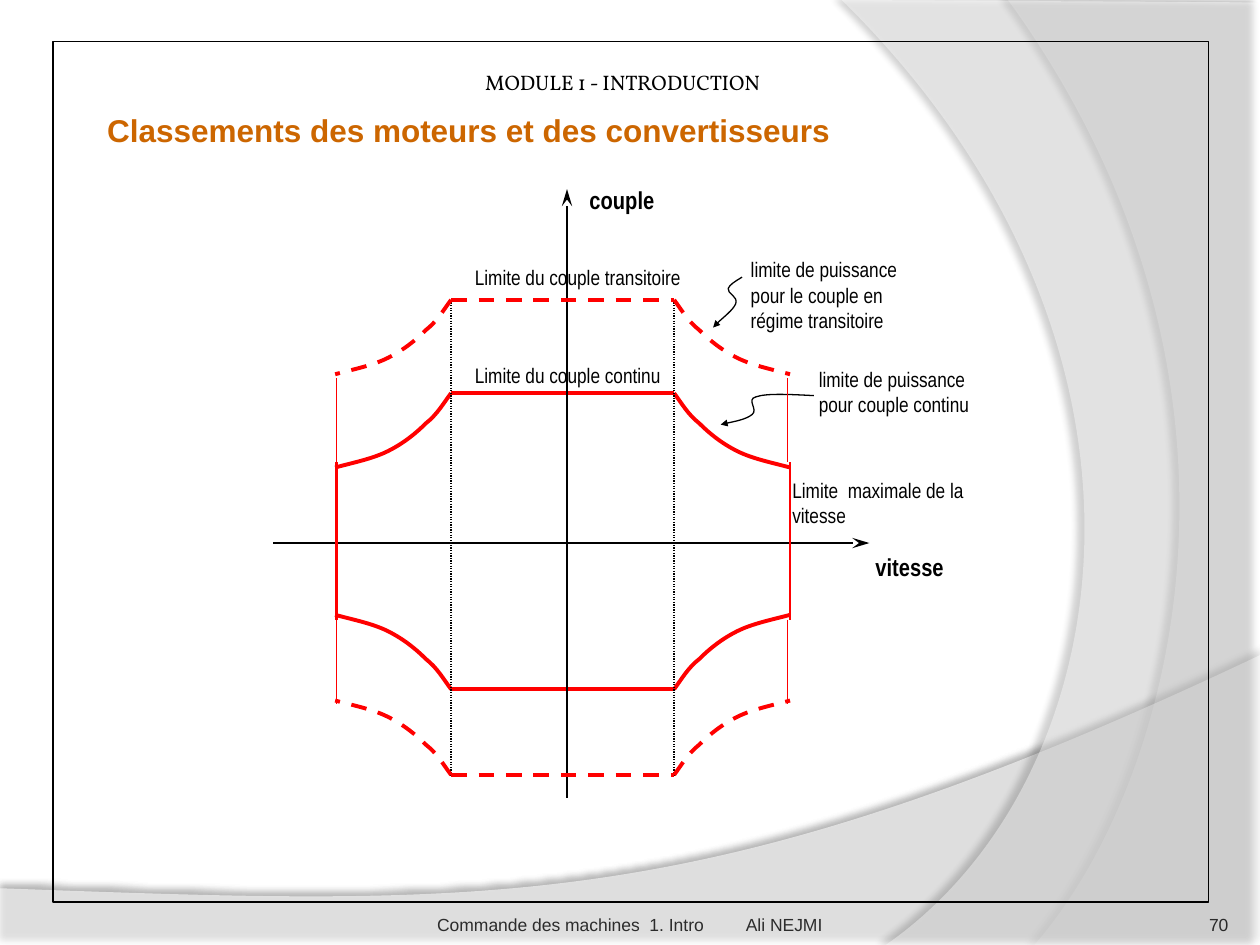
from lxml.etree import SubElement as Sub
from pptx import Presentation
from pptx.dml.color import RGBColor
from pptx.enum.dml import MSO_LINE as Dash
from pptx.enum.shapes import MSO_CONNECTOR as Conn, MSO_SHAPE as Kind
from pptx.enum.text import MSO_ANCHOR as Anchor, MSO_AUTO_SIZE as Auto, PP_ALIGN as Align
from pptx.oxml.ns import qn
from pptx.util import Inches, Pt

RED, BLACK = "FF0000", "000000"


def rgb(code):
    return RGBColor.from_string(code)


class Deck:
    font, size = "Arial Narrow", 12

    def __init__(self):
        self.prs = Presentation()
        self.prs.slide_width, self.prs.slide_height = Inches(10), Inches(7.5)
        self.slide = self.prs.slides.add_slide(self.prs.slide_layouts[5])
        self.shapes = self.slide.shapes

    def style(self, line, color, width, dash=None, tip=None):
        line.color.rgb, line.width = rgb(color), Pt(width)
        if dash:
            line.dash_style = dash
        if tip:
            wide, long = ("med", "lg") if tip == "stealth" else ("sm", "sm")
            Sub(line._get_or_add_ln(), qn("a:tailEnd"), type=tip, w=wide, len=long)

    def line(self, x1, y1, x2, y2, color=BLACK, width=0.75, dash=None, tip=None):
        line = self.shapes.add_connector(Conn.STRAIGHT, *map(Inches, (x1, y1, x2, y2)))
        self.style(line.line, color, width, dash, tip)
        Sub(line._element.spPr, qn("a:effectLst"))

    def outline(self, steps, close=False):
        """Freeform from steps: a pair is a straight line, six numbers a Bezier curve."""
        steps = [[Inches(n) for n in step] for step in steps]
        pen = self.shapes.build_freeform(*steps[0])
        pen.add_line_segments([step[-2:] for step in steps[1:]], close=close)
        shape = pen.convert_to_shape()
        shape.shadow.inherit = False
        parts = list(shape._element.iter(qn("a:lnTo")))
        for part, step in zip(parts, steps[1:]):
            if len(step) == 6:
                bend = Sub(part.getparent(), qn("a:cubicBezTo"))
                for x, y in zip(step[::2], step[1::2]):
                    Sub(bend, qn("a:pt"), x=str(x - shape.left), y=str(y - shape.top))
                part.getparent().replace(part, bend)
        return shape

    def curve(self, steps, color=BLACK, width=0.75, dash=None, tip=None):
        shape = self.outline(steps)
        shape.fill.background()
        self.style(shape.line, color, width, dash, tip)

    def band(self, steps, alpha, shade, dist, angle):
        """Translucent white area with a soft shadow."""
        shape = self.outline(steps, close=True)
        shape.line.fill.background()
        shape.fill.solid()
        shape.fill.fore_color.rgb = rgb("FFFFFF")
        props = shape._element.spPr
        white = props.find(qn("a:solidFill"))[0]
        Sub(white, qn("a:alpha"), val=str(alpha * 1000))
        glow = Sub(props.find(qn("a:effectLst")), qn("a:outerShdw"), blurRad=str(Pt(4)),
                   dist=str(Pt(dist)), dir=str(angle * 60000), algn="ctr", rotWithShape="0")
        black = Sub(glow, qn("a:srgbClr"), val=BLACK)
        Sub(black, qn("a:alpha"), val=str(shade * 1000))

    def frame(self, x, y, w, h):
        rect = self.shapes.add_shape(Kind.RECTANGLE, *map(Inches, (x, y, w, h)))
        rect.shadow.inherit = False
        rect.fill.background()
        self.style(rect.line, BLACK, 0.75)

    def text(self, words, x, y, w, h, size=None, font=None, color=BLACK, bold=False,
             align=Align.LEFT, anchor=Anchor.TOP, pads=(0.1, 0.05, 0.1, 0.05),
             box=None, tab=None):
        box = box or self.shapes.add_textbox(0, 0, 0, 0)
        box.left, box.top, box.width, box.height = map(Inches, (x, y, w, h))
        frame = box.text_frame
        frame.word_wrap, frame.auto_size = True, Auto.NONE
        frame.vertical_anchor = anchor
        (frame.margin_left, frame.margin_top,
         frame.margin_right, frame.margin_bottom) = map(Inches, pads)
        frame.text = words
        para = frame.paragraphs[0]
        para.alignment = align
        if tab:
            stops = Sub(para._p.get_or_add_pPr(), qn("a:tabLst"))
            Sub(stops, qn("a:tab"), pos=str(Inches(tab)), algn="l")
        para.font.name, para.font.size = font or self.font, Pt(size or self.size)
        para.font.bold, para.font.color.rgb = bold, rgb(color)

    def title(self, words, *place, **look):
        self.text(words, *place, box=self.shapes.title, **look)


def backdrop(deck):
    wave = [(0, 7.05), (0, 7.5), (10, 7.5), (10, 5.2), (5.59, 7.29, 3.91, 7.19, 0, 7.05)]
    inner = [(10, 0.02), (10, 7.5), (8.21, 7.5), (9.35, 6.19, 10.18, 3, 8, 0)]
    outer = [(10, 0.02), (10, 7.5), (7.03, 7.5), (8.91, 6.19, 9.47, 2.75, 6.68, 0)]
    for side in (inner, outer):
        deck.band(wave, 45, 35, 3.5, 270)
        deck.band(side, 40, 45, 4, 180)


def limit(deck, top, foot, dash=None):
    """Torque limit: flat top and foot, with a power curve at each corner."""
    left, right = 3.58, 5.35
    bend = [(0, 0), (0.06, 0.08, 0.11, 0.17, 0.2, 0.24),
            (0.28, 0.32, 0.38, 0.4, 0.5, 0.46), (0.62, 0.52, 0.77, 0.55, 0.92, 0.59)]
    for y, down in ((top, 1), (foot, -1)):
        deck.line(left, y, right, y, RED, 2.25, dash)
        for x, out in ((left, -1), (right, 1)):
            arc = [[y + down * n if i % 2 else x + out * n for i, n in enumerate(step)]
                   for step in bend]
            deck.curve(arc, RED, 2.25, dash)


def diagram(deck):
    deck.line(2.17, 4.31, 6.9, 4.31, tip="stealth")
    limit(deck, 3.12, 5.47)
    for x in (2.67, 6.27):
        deck.line(x, 3.67, x, 4.92, RED, 1.5)
    deck.curve([(6.46, 3.14), (6.27, 3.13, 6.08, 3.12, 6, 3.15),
                (5.92, 3.17, 6.02, 3.25, 5.97, 3.29),
                (5.92, 3.33, 5.76, 3.36, 5.72, 3.37)], tip="triangle")
    for x in (5.35, 3.58):
        deck.line(x, 2.38, x, 6.16, dash=Dash.ROUND_DOT)
    deck.line(4.5, 6.33, 4.5, 1.5, tip="stealth")
    limit(deck, 2.38, 6.15, Dash.DASH)
    deck.curve([(5.89, 2.2), (5.84, 2.23, 5.79, 2.26, 5.78, 2.29),
                (5.77, 2.33, 5.86, 2.35, 5.84, 2.41),
                (5.82, 2.46, 5.69, 2.56, 5.66, 2.6)], tip="triangle")
    for x in (2.67, 6.25):
        for y in (3, 4.92):
            deck.line(x, y, x, y + 0.67, RED)


def labels(deck):
    deck.text("couple", 4.58, 1.42, 1.01, 0.42, 14, bold=True)
    deck.text("vitesse", 6.85, 4.33, 0.9, 0.41, 14, bold=True)
    for words, *place in (
            ("limite de puissance pour couple continu", 6.4, 2.86, 1.6, 0.7),
            ("Limite  maximale de la vitesse", 6.19, 3.74, 1.73, 0.52),
            ("limite de puissance pour le couple en régime transitoire", 5.86, 1.99, 1.47, 0.7),
            ("Limite du couple transitoire", 3.67, 2.05, 1.92, 0.7),
            ("Limite du couple continu", 3.67, 2.83, 1.92, 0.7)):
        deck.text(words, *place)


def main():
    deck = Deck()
    backdrop(deck)
    deck.text("MODULE 1 - INTRODUCTION", 0.5, 0.33, 7.5, 0.42, font="Vollkorn",
              anchor=Anchor.BOTTOM, pads=(3.35, 0, 0.05, 0))
    deck.frame(0.42, 0.33, 9.17, 6.83)
    deck.title("Classements des moteurs et des convertisseurs", 0.75, 0.83, 7.17, 0.4,
               size=18, font="Arial", color="CC6600", bold=True)
    diagram(deck)
    labels(deck)
    deck.text("Commande des machines  1. Intro\tAli NEJMI", 3.42, 7.02, 3.17, 0.4, 10, "Arial",
              "2C2C2C", anchor=Anchor.BOTTOM, pads=(0.05, 0.05, 0, 0), tab=2.45)
    deck.text("70", 8.92, 7.02, 0.83, 0.4, 10, "Arial", "292929", align=Align.RIGHT,
              anchor=Anchor.BOTTOM, pads=(0, 0, 0, 0))
    deck.prs.save("out.pptx")


if __name__ == "__main__":
    main()
